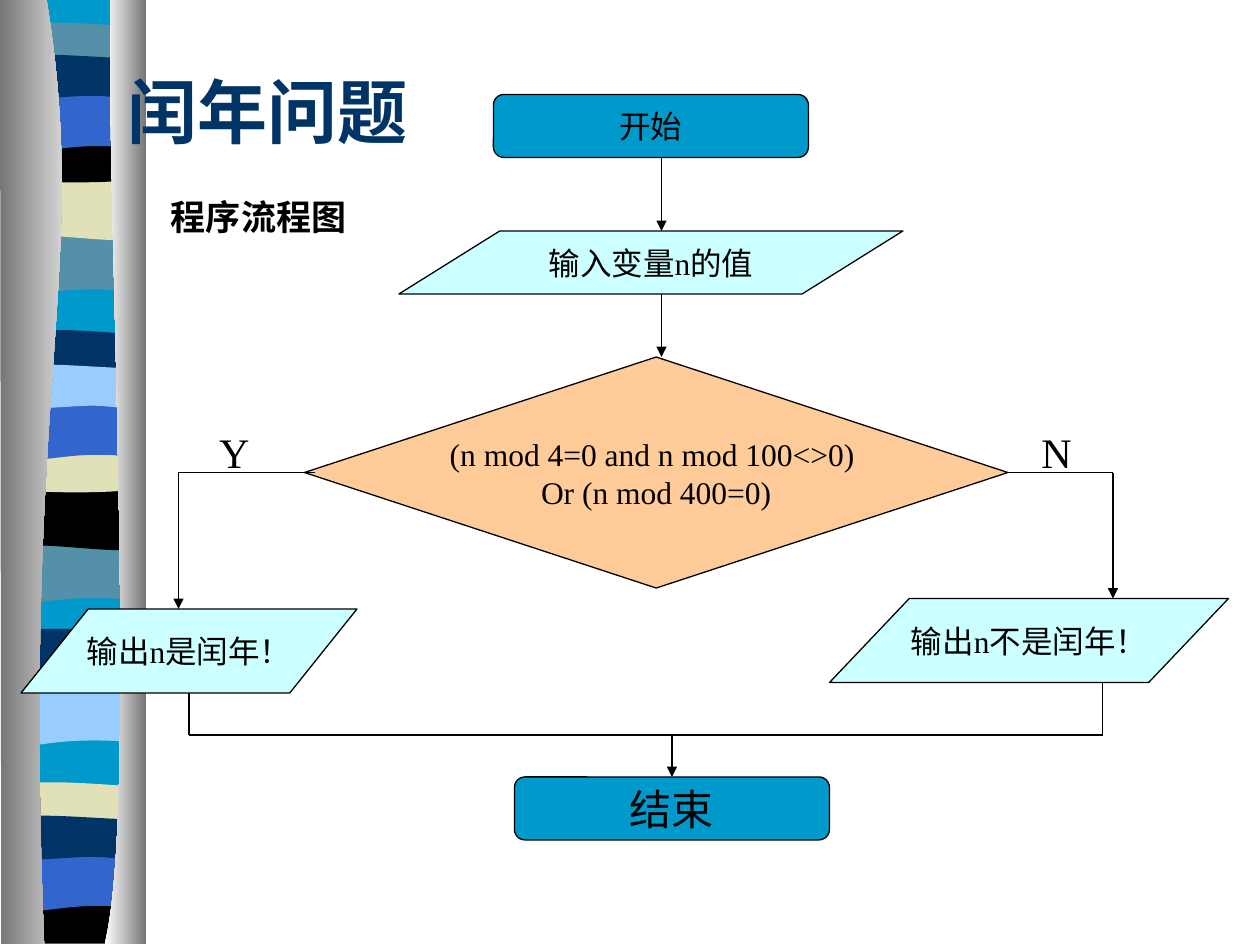
from pptx import Presentation
from pptx.dml.color import RGBColor
from pptx.enum.shapes import MSO_CONNECTOR, MSO_SHAPE
from pptx.enum.text import MSO_ANCHOR, MSO_AUTO_SIZE, PP_ALIGN
from pptx.oxml.ns import qn
from pptx.util import Cm, Pt
from lxml import etree

TERMINAL = MSO_SHAPE.FLOWCHART_ALTERNATE_PROCESS
DATA = MSO_SHAPE.FLOWCHART_DATA
DECISION = MSO_SHAPE.FLOWCHART_DECISION
STRAIGHT = MSO_CONNECTOR.STRAIGHT
CENTER, LEFT = PP_ALIGN.CENTER, PP_ALIGN.LEFT
MIDDLE, TOP = MSO_ANCHOR.MIDDLE, MSO_ANCHOR.TOP

FONT = "Times New Roman"
BLACK, NAVY, TEAL, SKY = "000000", "003366", "0099CC", "99CCFF"
SLATE, SAND, BLUE = "5490A8", "E1E1B7", "3366CC"
AQUA, PEACH, GREY, WHITE = "CCFFFF", "FFCC99", "767676", "FFFFFF"

GRID = 2.54 / 12      # flowchart grid, cm
INCH = 2.54           # decoration unit, cm

# Outlines: 2 numbers are a corner, 6 numbers are a Bezier curve.
# Band outlines are measured from the top of the band.
BAND_OUTLINES = {
    "tail": [(1.15, 0), (1.15, .47), (.39, .39, .24, .55, .05, .47), (.05, 0)],
    "swell": [(1.15, 0), (1.15, .47), (.97, .55, .4, .42, .05, .47), (.05, 0)],
    "lens": [(1.15, 0), (1.15, .24), (.96, .28, .24, .28, .05, .24), (.05, 0),
             (.12, -.05, .29, -.04, .47, -.04), (.66, -.04, 1.01, -.01, 1.15, 0)],
    "sag": [(1.15, 0), (1.15, .33), (.97, .38, .24, .38, .05, .33), (.05, 0),
            (.74, .05, .93, 0, 1.15, 0)],
    "arch": [(1.15, 0), (1.15, .47), (.99, .41, .92, .41, .74, .41),
             (.55, .41, .23, .47, .05, .47), (.05, 0)],
    "crest": [(1.15, 0), (1.15, .3), (1.08, .35, .91, .3, .73, .3),
              (.54, .3, .17, .35, .05, .3), (.05, 0),
              (.21, -.06, .8, 0, .98, 0), (1.16, 0, 1.11, 0, 1.15, 0)],
    "base": [(1.15, 0), (1.15, .37), (.05, .37), (.05, 0), (.72, .05, .92, 0, 1.15, 0)],
    "backdrop": [(1.15, 0), (1.15, 7.47), (.05, 7.47), (.05, 0)],
}
BANDS = [
    ("backdrop", 0, TEAL),
    ("tail", 1.85, SLATE), ("swell", 1.41, SAND), ("lens", .22, SLATE),
    ("sag", 1.08, BLACK), ("arch", .75, BLUE), ("crest", .46, NAVY),
    ("tail", 4.3, SLATE), ("swell", 3.87, BLACK), ("lens", 2.66, NAVY),
    ("sag", 3.54, SAND), ("arch", 3.2, BLUE), ("crest", 2.92, SKY),
    ("tail", 5.43, SKY), ("swell", 4.99, NAVY), ("lens", 6.25, SAND),
    ("base", 7.12, BLACK), ("arch", 6.78, BLUE), ("crest", 6.5, NAVY),
]
EDGES = [
    ([(.37, 0), (.72, 2.17, .17, 2.96, .35, 7.49), (.01, 7.49), (0, 0)], (GREY, WHITE)),
    ([(.88, 0), (.83, 1.25, 1.11, 6.47, .83, 7.49), (1.16, 7.49), (1.16, 0)], (WHITE, GREY)),
]

# Flowchart boxes: shape, (left, top, width, height), colour, size, lines
NODES = [
    (TERMINAL, (47, 9, 30, 6), TEAL, 18, ["开始"]),
    (DATA, (38, 22, 48, 6), AQUA, 18, ["输入变量n的值"]),
    (DECISION, (29, 34, 67, 22), PEACH, 18,
     ["(n mod 4=0 and n mod 100<>0) ", "Or (n mod 400=0)"]),
    (DATA, (2, 58, 32, 8), AQUA, 18, ["输出n是闰年！"]),
    (DATA, (79, 57, 38, 8), AQUA, 18, ["输出n不是闰年！"]),
    (TERMINAL, (49, 74, 30, 6), TEAL, 24, ["结束"]),
]
# Routes: corner points, arrow on the last leg
ROUTES = [
    ([(63, 15), (63, 22)], True),
    ([(63, 28), (63, 34)], True),
    ([(30, 45), (17, 45), (17, 58)], True),
    ([(96, 45), (106, 45), (106, 57)], True),
    ([(18, 66), (18, 70), (105, 70), (105, 65)], False),
    ([(64, 70), (64, 74)], True),
]
# Labels: text, (left, top, width, height), size, colour, bold, wrap, anchor
LABELS = [
    ("闰年问题", (11, 3, 35, 15), 40, NAVY, True, True, MIDDLE),
    ("程序流程图", (15.1, 18, 19.8, 5.3), 20, BLACK, True, False, TOP),
    ("Y", (19.7, 40, 5.3, 6), 24, BLACK, False, False, TOP),
    ("N", (98, 40, 5.3, 6), 24, BLACK, False, False, TOP),
]


def color(hex_string):
    return RGBColor.from_string(hex_string)


def grid(values):
    return [Cm(value * GRID) for value in values]


def add_outline(slide, outline, top=0):
    """Draw all points as a polygon, then merge each curve's three legs into a Bezier."""
    points = [(Cm(x * INCH), Cm((y + top) * INCH))
              for step in outline for x, y in zip(step[::2], step[1::2])]
    builder = slide.shapes.build_freeform(*points[0])
    builder.add_line_segments(points[1:], close=True)
    shape = builder.convert_to_shape()
    shape.shadow.inherit = False
    shape.line.fill.background()

    legs = iter(list(shape.element.iter(qn("a:lnTo"))))
    for step in outline[1:]:
        leg = next(legs)
        if len(step) == 6:
            leg.addprevious(curve := etree.Element(qn("a:cubicBezTo")))
            for part in (leg, next(legs), next(legs)):
                curve.append(part[0])
                part.getparent().remove(part)
    return shape


def write(shape, lines, size, text_color, bold=False, align=LEFT, wrap=False, anchor=MIDDLE):
    frame = shape.text_frame
    frame.word_wrap = wrap
    frame.vertical_anchor = anchor
    for index, line in enumerate(lines):
        paragraph = frame.add_paragraph() if index else frame.paragraphs[0]
        paragraph.alignment = align
        run = paragraph.add_run()
        run.text = line
        run.font.name = FONT
        run.font.size = Pt(size)
        run.font.bold = bold
        run.font.color.rgb = color(text_color)


def outline_black(shape):
    shape.line.color.rgb = color(BLACK)
    shape.line.width = Pt(0.75)


def add_leg(slide, start, end, arrow):
    connector = slide.shapes.add_connector(STRAIGHT, *grid(start), *grid(end))
    outline_black(connector)
    properties = connector.element.spPr
    if arrow:
        etree.SubElement(properties.find(qn("a:ln")), qn("a:tailEnd"), type="triangle")
    etree.SubElement(properties, qn("a:effectLst"))


presentation = Presentation()
presentation.slide_width, presentation.slide_height = Cm(25.4), Cm(19.05)
slide = presentation.slides.add_slide(presentation.slide_layouts[6])

for name, top, fill in BANDS:
    band = add_outline(slide, BAND_OUTLINES[name], top)
    band.fill.solid()
    band.fill.fore_color.rgb = color(fill)

for outline, stop_colors in EDGES:
    edge = add_outline(slide, outline)
    edge.fill.gradient()
    edge.fill.gradient_angle = 0
    for stop, stop_color in zip(edge.fill.gradient_stops, stop_colors):
        stop.color.rgb = color(stop_color)

for kind, box, fill, size, lines in NODES:
    node = slide.shapes.add_shape(kind, *grid(box))
    node.shadow.inherit = False
    node.fill.solid()
    node.fill.fore_color.rgb = color(fill)
    outline_black(node)
    write(node, lines, size, BLACK, align=CENTER)

for corners, arrow in ROUTES:
    for start, end in zip(corners, corners[1:]):
        add_leg(slide, start, end, arrow and end == corners[-1])

for text, box, size, text_color, bold, wrap, anchor in LABELS:
    label = slide.shapes.add_textbox(*grid(box))
    write(label, [text], size, text_color, bold, wrap=wrap, anchor=anchor)
    if not wrap:
        label.text_frame.auto_size = MSO_AUTO_SIZE.SHAPE_TO_FIT_TEXT

presentation.save("out.pptx")
